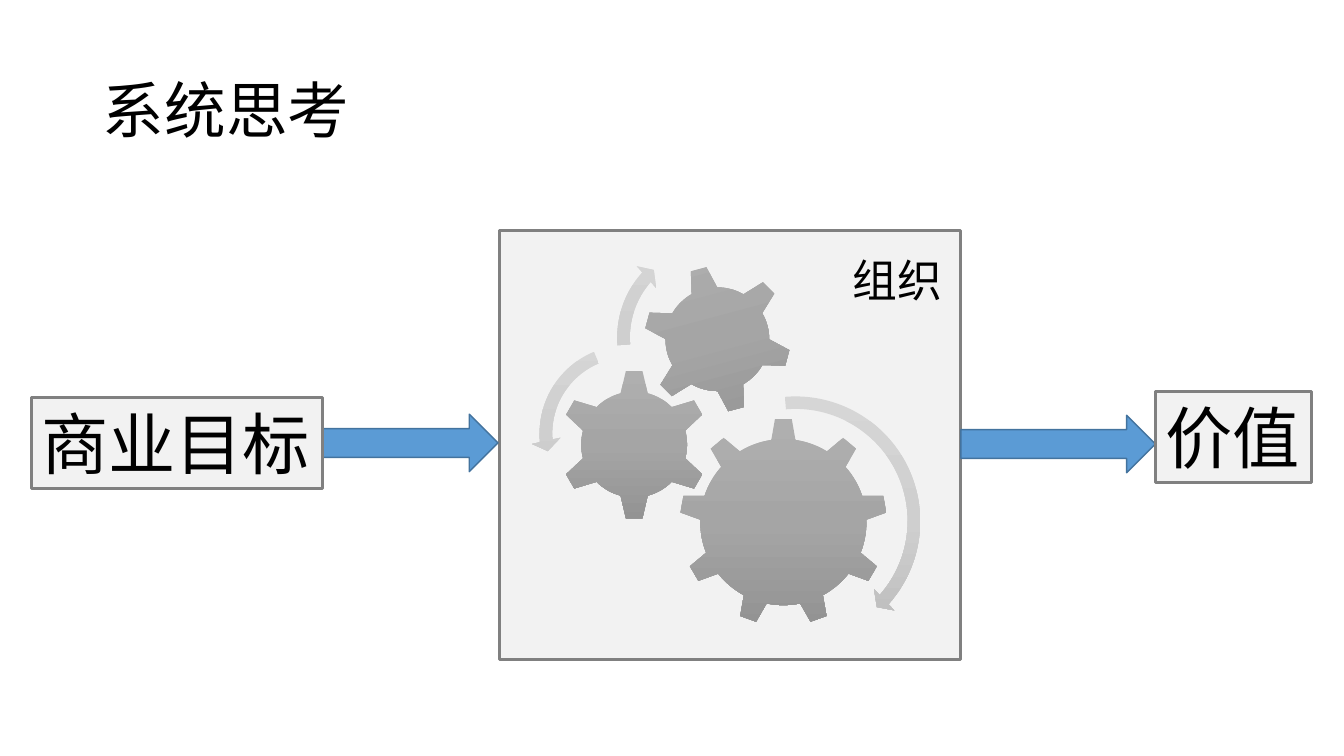
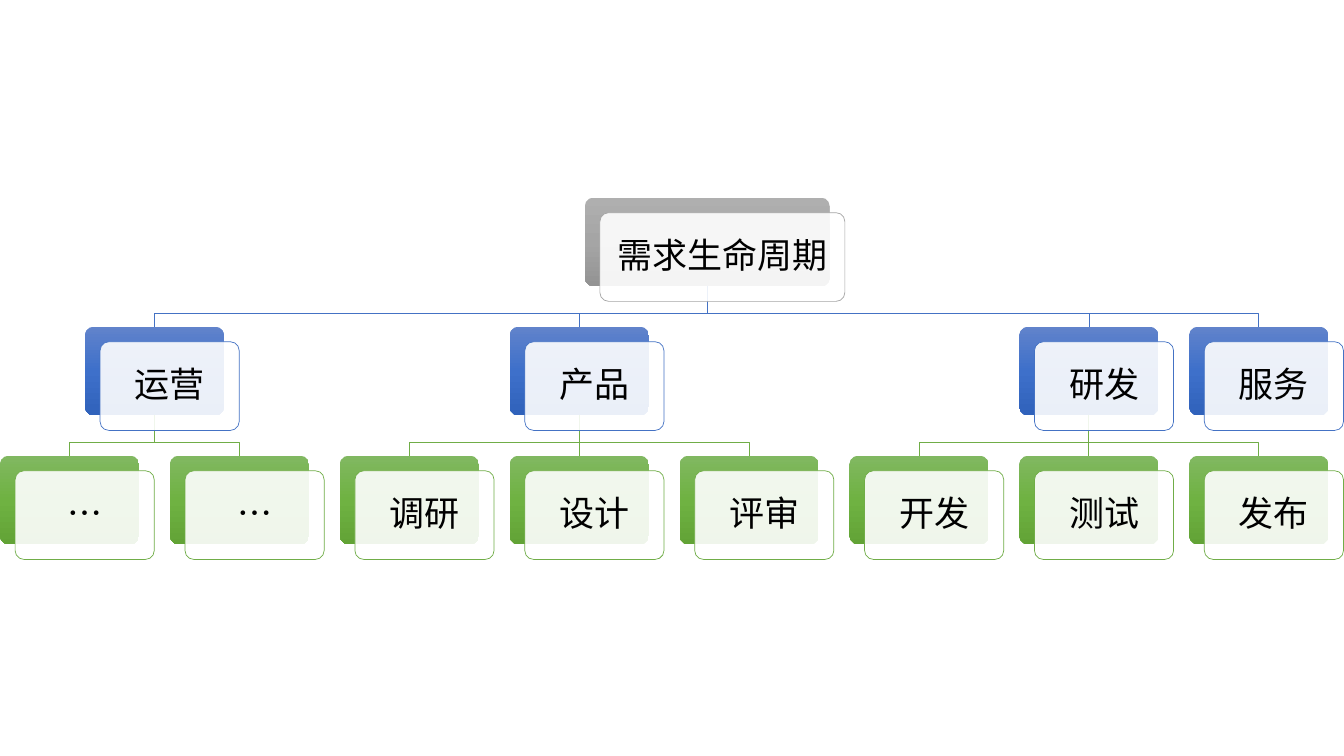
from copy import deepcopy
from pptx import Presentation
from pptx.dml.color import RGBColor
from pptx.enum.shapes import MSO_SHAPE
from pptx.enum.text import MSO_ANCHOR, MSO_AUTO_SIZE, PP_ALIGN
from pptx.oxml.ns import qn
from pptx.util import Inches, Pt

FONT = "Noto Sans CJK SC"
INK = "000000"
PANEL, EDGE = "F2F2F2", "808080"
BLUE, NAVY = "5B9BD5", "43739E"
GRAY = ("AFAFAF", "A5A5A5", "939393")
PALE = ("D6D6D6", "CFCFCF", "B8B8B8")


def paint(shape, fill=None, line=None, width=0.5):
    """Fill with one hex colour, a three-colour gradient or nothing."""
    shape.shadow.inherit = False
    if fill is None:
        shape.fill.background()
    elif isinstance(fill, str):
        shape.fill.solid()
        shape.fill.fore_color.rgb = RGBColor.from_string(fill)
    else:
        shape.fill.gradient()
        shape.fill.gradient_angle = 270
        stop = shape._element.spPr.find(".//" + qn("a:gs"))
        stop.addnext(deepcopy(stop))
        for i, tone in enumerate(fill):
            mark = shape.fill.gradient_stops[i]
            mark.color.rgb = RGBColor.from_string(tone)
            mark.position = i / 2
    if line:
        shape.line.color.rgb = RGBColor.from_string(line)
        shape.line.width = Pt(width)
    else:
        shape.line.fill.background()


def write(shape, text, size, align=PP_ALIGN.LEFT, anchor=MSO_ANCHOR.TOP):
    frame = shape.text_frame
    frame.text = text
    frame.vertical_anchor = anchor
    para = frame.paragraphs[0]
    para.alignment = align
    font = para.runs[0].font
    font.name, font.size = FONT, Pt(size)
    font.color.rgb = RGBColor.from_string(INK)
    east = font._element.makeelement(qn("a:ea"), {"typeface": FONT})
    font._element.find(qn("a:latin")).addnext(east)
    return frame


deck = Presentation()
deck.slide_width, deck.slide_height = Inches(13.33), Inches(7.5)

# Slide 1: title
slide = deck.slides.add_slide(deck.slide_layouts[5])
title = slide.shapes.title
title.left, title.top = Inches(0.92), Inches(0.4)
title.width, title.height = Inches(11.5), Inches(1.45)
frame = write(title, "系统思考", 44, anchor=MSO_ANCHOR.MIDDLE)
frame.paragraphs[0].line_spacing = 0.9

# Organisation panel
panel = slide.shapes.add_shape(
    MSO_SHAPE.RECTANGLE, Inches(4.95), Inches(2.29), Inches(4.58), Inches(4.25))
paint(panel, PANEL, EDGE, 2.25)

# Gears and the arrows around them
gears = [
    (MSO_SHAPE.GEAR_9, 6.74, 4.15, 2.06, 0, GRAY, ()),
    (MSO_SHAPE.GEAR_6, 5.54, 3.66, 1.5, 0, GRAY, ()),
    (MSO_SHAPE.GEAR_6, 6.38, 2.63, 1.47, 345, GRAY, ()),
    (MSO_SHAPE.CIRCULAR_ARROW, 6.57, 3.85, 2.64, 0, PALE,
     (0.047, 2.99, 24.948, 159.082, 0.055)),
    (MSO_SHAPE.LEFT_CIRCULAR_ARROW, 5.27, 3.34, 1.92, 0, PALE,
     (0.065, 4.3, 104.891, 148.378, 0.075)),
    (MSO_SHAPE.CIRCULAR_ARROW, 6.04, 2.31, 2.07, 0, PALE,
     (0.06, 3.941, 133.138, 105.082, 0.07)),
]
for kind, x, y, size, turn, tones, bends in gears:
    gear = slide.shapes.add_shape(
        kind, Inches(x), Inches(y), Inches(size), Inches(size))
    gear.rotation = turn
    for i, bend in enumerate(bends):
        gear.adjustments[i] = bend
    paint(gear, tones)

# Flow arrows
for x, y in [(3.01, 4.11), (9.53, 4.12)]:
    arrow = slide.shapes.add_shape(
        MSO_SHAPE.RIGHT_ARROW, Inches(x), Inches(y), Inches(1.93), Inches(0.57))
    paint(arrow, BLUE, NAVY, 1)

# Labels: framed at both ends, plain inside the panel
labels = [
    ("组织", 8.36, 2.46, 1.1, 0.64, 32, False),
    ("商业目标", 0.31, 3.94, 2.89, 0.91, 48, True),
    ("价值", 11.46, 3.88, 1.55, 0.91, 48, True),
]
for text, x, y, w, h, size, framed in labels:
    label = slide.shapes.add_shape(
        MSO_SHAPE.RECTANGLE, Inches(x), Inches(y), Inches(w), Inches(h))
    if framed:
        paint(label, PANEL, EDGE, 2.25)
    else:
        paint(label)
    frame = write(label, text, size)
    frame.word_wrap = False
    frame.auto_size = MSO_AUTO_SIZE.SHAPE_TO_FIT_TEXT

# Slide 2: tree of the requirement life cycle
slide = deck.slides.add_slide(deck.slide_layouts[6])
STEP, DROP, TOP = 1.685, 1.28, 1.96
WIDE, HIGH, SHIFT = 1.38, 0.88, 0.15
levels = [
    (GRAY, "A5A5A5"),
    (("6183CB", "3E70CA", "3062BB"), "4472C4"),
    (("81B861", "6FB242", "62A336"), "70AD47"),
]
# Name, column, first column of the children, children
stages = [
    ("运营", 0.5, 0, ["…", "…"]),
    ("产品", 3, 2, ["调研", "设计", "评审"]),
    ("研发", 6, 5, ["开发", "测试", "发布"]),
    ("服务", 7, 8, []),
]

# Cards as text, left, width, level; links as parent, children, level
cards = [("需求生命周期", 5.8, 2.43, 0)]
mid = WIDE / 2
links = [(5.8 + 2.43 / 2, [col * STEP + mid for _, col, _, _ in stages], 1)]
for name, col, first, kids in stages:
    cards.append((name, col * STEP, WIDE, 1))
    spots = [(first + i) * STEP for i in range(len(kids))]
    cards += [(kid, x, WIDE, 2) for kid, x in zip(kids, spots)]
    if kids:
        links.append((col * STEP + mid, [x + mid for x in spots], 2))

# Links: a bar with outer drops, then the stem and inner drops
for stem, ends, level in links:
    low = Inches(TOP + level * DROP)
    bar = low - Inches(0.13)
    high = low - Inches(DROP - HIGH)
    left, *inner, right = [Inches(x) for x in ends]
    pen = slide.shapes.build_freeform(left, low)
    pen.add_line_segments([(left, bar), (right, bar), (right, low)], close=False)
    pen.move_to(Inches(stem), high)
    pen.add_line_segments([(Inches(stem), bar)], close=False)
    for x in inner:
        pen.move_to(x, bar)
        pen.add_line_segments([(x, low)], close=False)
    paint(pen.convert_to_shape(), None, levels[level][1])

# Cards: a coloured back and a translucent front with the text
for text, x, wide, level in cards:
    tones, edge = levels[level]
    y = TOP + level * DROP
    for gap, fill, line in [(0, tones, None), (SHIFT, "FFFFFF", edge)]:
        card = slide.shapes.add_shape(
            MSO_SHAPE.ROUNDED_RECTANGLE, Inches(x + gap), Inches(y + gap),
            Inches(wide), Inches(HIGH))
        card.adjustments[0] = 0.1
        paint(card, fill, line)
    tint = card._element.spPr.find(qn("a:solidFill")).find(qn("a:srgbClr"))
    tint.append(tint.makeelement(qn("a:alpha"), {"val": "90000"}))
    frame = write(card, text, 25, PP_ALIGN.CENTER, MSO_ANCHOR.MIDDLE)
    frame.word_wrap = True
    frame.paragraphs[0].line_spacing = 0.9

deck.save("out.pptx")
